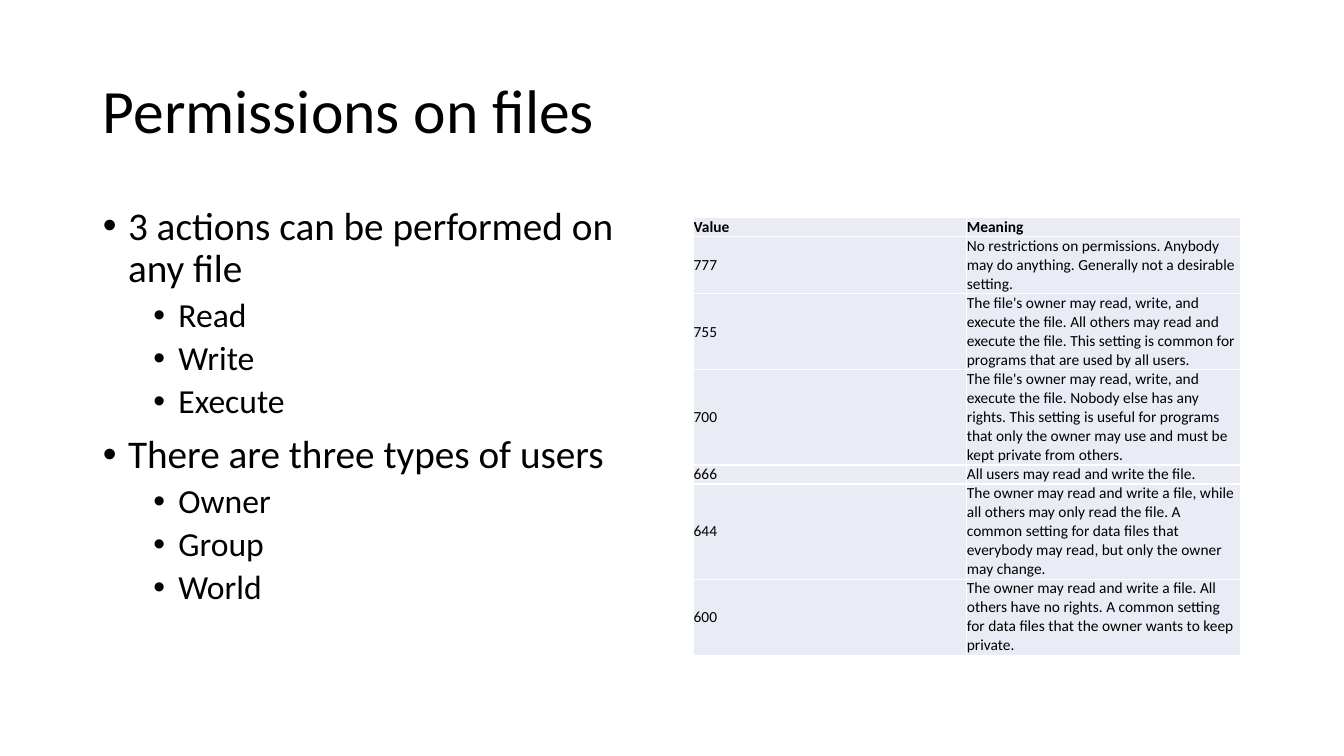
from dataclasses import dataclass

from lxml import etree
from pptx import Presentation
from pptx import util as u
from pptx.dml import color
from pptx.enum import text
from pptx.oxml import ns

FONT = "Calibri"
BLACK = "000000"
WHITE = "FFFFFF"
CELL_FILL = "E9EBF5"


@dataclass(frozen=True)
class Level:
    size: float
    margin: float
    space_before: float


@dataclass(frozen=True)
class Bullet:
    wording: str
    level: int = 0


@dataclass(frozen=True)
class Permission:
    value: str
    meaning: str
    height: float


LEVELS = [Level(28, 0.25, 10), Level(24, 0.75, 5)]

BULLETS = [
    Bullet("3 actions can be performed on any file"),
    Bullet("Read", 1),
    Bullet("Write", 1),
    Bullet("Execute", 1),
    Bullet("There are three types of users"),
    Bullet("Owner", 1),
    Bullet("Group", 1),
    Bullet("World", 1),
]

PERMISSIONS = [
    Permission("Value", "Meaning", 0.18),
    Permission("777", "No restrictions on permissions. Anybody may do anything. "
               "Generally not a desirable setting.", 0.39),
    Permission("755", "The file's owner may read, write, and execute the file. "
               "All others may read and execute the file. This setting is common "
               "for programs that are used by all users.", 0.71),
    Permission("700", "The file's owner may read, write, and execute the file. "
               "Nobody else has any rights. This setting is useful for programs that "
               "only the owner may use and must be kept private from others.", 0.71),
    Permission("666", "All users may read and write the file.", 0.18),
    Permission("644", "The owner may read and write a file, while all others may "
               "only read the file. A common setting for data files that everybody "
               "may read, but only the owner may change.", 0.71),
    Permission("600", "The owner may read and write a file. All others have no "
               "rights. A common setting for data files that the owner wants to "
               "keep private.", 0.53),
]


def rgb(value: str) -> color.RGBColor:
    return color.RGBColor.from_string(value)


def add_span(para, wording: str, size: float, bold: bool = False) -> None:
    span = para.add_run()
    span.text = wording
    span.font.name = FONT
    span.font.size = u.Pt(size)
    span.font.bold = bold
    span.font.color.rgb = rgb(BLACK)


def place(box, left: float, top: float, width: float, height: float) -> None:
    box.left, box.top = u.Inches(left), u.Inches(top)
    box.width, box.height = u.Inches(width), u.Inches(height)
    box.text_frame.word_wrap = True
    box.text_frame.auto_size = text.MSO_AUTO_SIZE.NONE


def add_bullet(para, bullet: Bullet) -> None:
    level = LEVELS[bullet.level]
    para.level = bullet.level
    para.alignment = text.PP_ALIGN.LEFT
    para.line_spacing = 0.9
    para.space_before = u.Pt(level.space_before)
    props = para._p.get_or_add_pPr()
    props.set("marL", str(u.Inches(level.margin)))
    props.set("indent", str(u.Inches(-0.25)))
    etree.SubElement(props, ns.qn("a:buFont"), typeface="Arial")
    etree.SubElement(props, ns.qn("a:buChar"), char="•")
    add_span(para, bullet.wording, level.size)


def add_borders(cell) -> None:
    props = cell._tc.get_or_add_tcPr()
    for side in ("lnL", "lnR", "lnT", "lnB"):
        line = etree.SubElement(props, ns.qn(f"a:{side}"), w=str(u.Pt(1)))
        fill = etree.SubElement(line, ns.qn("a:solidFill"))
        etree.SubElement(fill, ns.qn("a:srgbClr"), val=WHITE)


def fill_cell(cell, wording: str, header: bool) -> None:
    add_borders(cell)
    cell.fill.solid()
    cell.fill.fore_color.rgb = rgb(CELL_FILL)
    cell.margin_left = cell.margin_right = cell.margin_top = cell.margin_bottom = 0
    anchors = text.MSO_ANCHOR
    cell.vertical_anchor = anchors.BOTTOM if header else anchors.MIDDLE
    add_span(cell.text_frame.paragraphs[0], wording, 11, header)


def add_permission_table(page) -> None:
    frame = page.shapes.add_table(len(PERMISSIONS), 2, u.Inches(6.88), u.Inches(2.16),
                                  u.Inches(5.41), u.Inches(4.24))
    table = frame.table
    table.first_row = table.horz_banding = False
    for column in table.columns:
        column.width = u.Inches(2.71)
    for index, (row, permission) in enumerate(zip(table.rows, PERMISSIONS)):
        row.height = u.Inches(permission.height)
        for cell, wording in zip(row.cells, (permission.value, permission.meaning)):
            fill_cell(cell, wording, header=index == 0)


def main() -> None:
    deck = Presentation()
    deck.slide_width, deck.slide_height = u.Inches(13.33), u.Inches(7.5)
    page = deck.slides.add_slide(deck.slide_layouts[1])
    page.background.fill.solid()
    page.background.fill.fore_color.rgb = rgb(WHITE)

    # Title
    title = page.shapes.title
    place(title, 0.92, 0.4, 11.5, 1.45)
    title.text_frame.vertical_anchor = text.MSO_ANCHOR.MIDDLE
    heading = title.text_frame.paragraphs[0]
    heading.alignment = text.PP_ALIGN.LEFT
    heading.line_spacing = 0.9
    add_span(heading, "Permissions on files", 44)

    # Bullet list
    body = page.placeholders[1]
    place(body, 0.92, 2, 5.67, 4.76)
    for index, bullet in enumerate(BULLETS):
        frame = body.text_frame
        para = frame.add_paragraph() if index else frame.paragraphs[0]
        add_bullet(para, bullet)

    # Permission table
    add_permission_table(page)

    deck.save("out.pptx")


if __name__ == "__main__":
    main()
